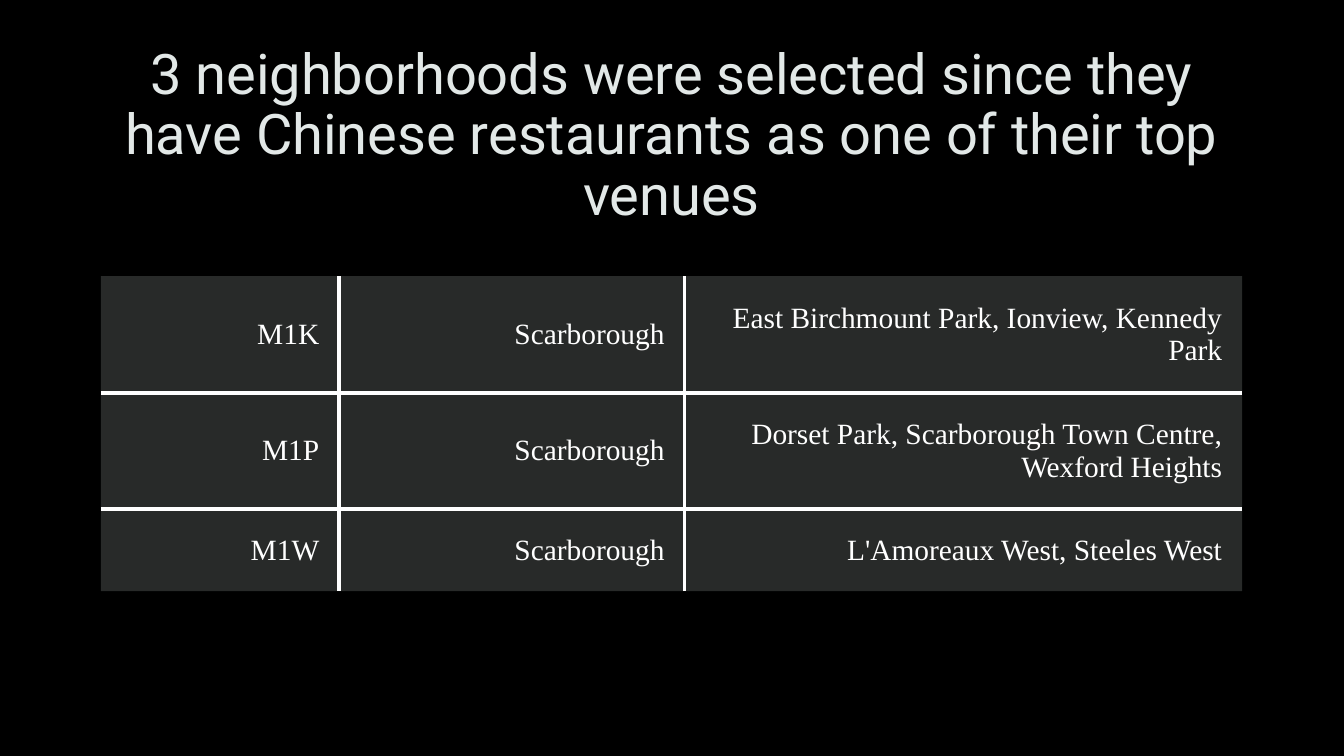
"""Build the slide listing the three selected Scarborough neighborhoods."""
from lxml import etree
from pptx import Presentation, util as u
from pptx.dml.color import RGBColor
from pptx.enum import text
from pptx.oxml import ns

PX = 9525
THEME = {
    "background": "000000", "title": "E2E8E7", "title_outline": "404040",
    "cell": "878E8B", "cell_text": "FFFFFF", "border": "FFFFFF",
    "title_font": "Roboto", "cell_font": "Times New Roman",
    "title_size": 40, "cell_size": 21, "border_width": 3, "outline_width": 0.75,
}


def add_line(parent, tag, position, width, color=None, opacity=100):
    line = etree.Element(ns.qn(f"a:{tag}"), w=str(u.Pt(width)))
    if color:
        fill = etree.SubElement(line, ns.qn("a:solidFill"))
        rgb = etree.SubElement(fill, ns.qn("a:srgbClr"), val=color)
        etree.SubElement(rgb, ns.qn("a:alpha"), val=str(opacity * 1000))
    else:
        etree.SubElement(line, ns.qn("a:noFill"))
    parent.insert(position, line)


def style_text(paragraph, part, alignment):
    paragraph.alignment = alignment
    font = paragraph.runs[0].font
    font.name = THEME[f"{part}_font"]
    font.size = u.Pt(THEME[f"{part}_size"])
    font.color.rgb = RGBColor.from_string(THEME["title" if part == "title" else "cell_text"])


deck = Presentation()
deck.slide_width, deck.slide_height = 1280 * PX, 720 * PX
slide = deck.slides.add_slide(deck.slide_layouts[5])
slide.background.fill.solid()
slide.background.fill.fore_color.rgb = RGBColor.from_string(THEME["background"])

headline = slide.shapes.title
headline.left, headline.top, headline.width, headline.height = (n * PX for n in (96, 64, 1087, 132))
headline.text_frame.text = "3 neighborhoods were selected since they have Chinese restaurants as one of their top venues"
headline.text_frame.word_wrap = True
headline.text_frame.auto_size = text.MSO_AUTO_SIZE.NONE
headline.text_frame.vertical_anchor = text.MSO_ANCHOR.MIDDLE
headline_line = headline.text_frame.paragraphs[0]
headline_line.line_spacing = 0.9
style_text(headline_line, "title", text.PP_ALIGN.CENTER)
add_line(headline_line.runs[0].font._element, "ln", 0, THEME["outline_width"], THEME["title_outline"], 10)

neighborhoods = [
    ("M1K", "Scarborough", "East Birchmount Park, Ionview, Kennedy Park"),
    ("M1P", "Scarborough", "Dorset Park, Scarborough Town Centre, Wexford Heights"),
    ("M1W", "Scarborough", "L'Amoreaux West, Steeles West"),
]
column_widths = (227, 329, 531)
row_heights = (111, 111, 78)
last_row, last_column = len(row_heights) - 1, len(column_widths) - 1
venues = slide.shapes.add_table(
    len(row_heights), len(column_widths), 96 * PX, 263 * PX,
    sum(column_widths) * PX, sum(row_heights) * PX).table
venues.first_row = venues.horz_banding = False
for column, width in zip(venues.columns, column_widths):
    column.width = width * PX
for row, height in zip(venues.rows, row_heights):
    row.height = height * PX

for r, neighborhood in enumerate(neighborhoods):
    for c, entry in enumerate(neighborhood):
        cell = venues.cell(r, c)
        cell.text_frame.text = entry
        cell.vertical_anchor = text.MSO_ANCHOR.MIDDLE
        cell.margin_left = 32 * PX
        cell.margin_right = cell.margin_top = cell.margin_bottom = 19 * PX
        style_text(cell.text_frame.paragraphs[0], "cell", text.PP_ALIGN.RIGHT)
        cell.fill.solid()
        cell.fill.fore_color.rgb = RGBColor.from_string(THEME["cell"])
        properties = cell._tc.tcPr
        cell_color = properties.find(".//" + ns.qn("a:srgbClr"))
        etree.SubElement(cell_color, ns.qn("a:alpha"), val="30000")
        inner_edges = {"lnL": c > 0, "lnR": c < last_column, "lnT": r > 0, "lnB": r < last_row}
        for position, (edge, inner) in enumerate(inner_edges.items()):
            add_line(properties, edge, position, THEME["border_width"], THEME["border"] if inner else None)

deck.save("out.pptx")
